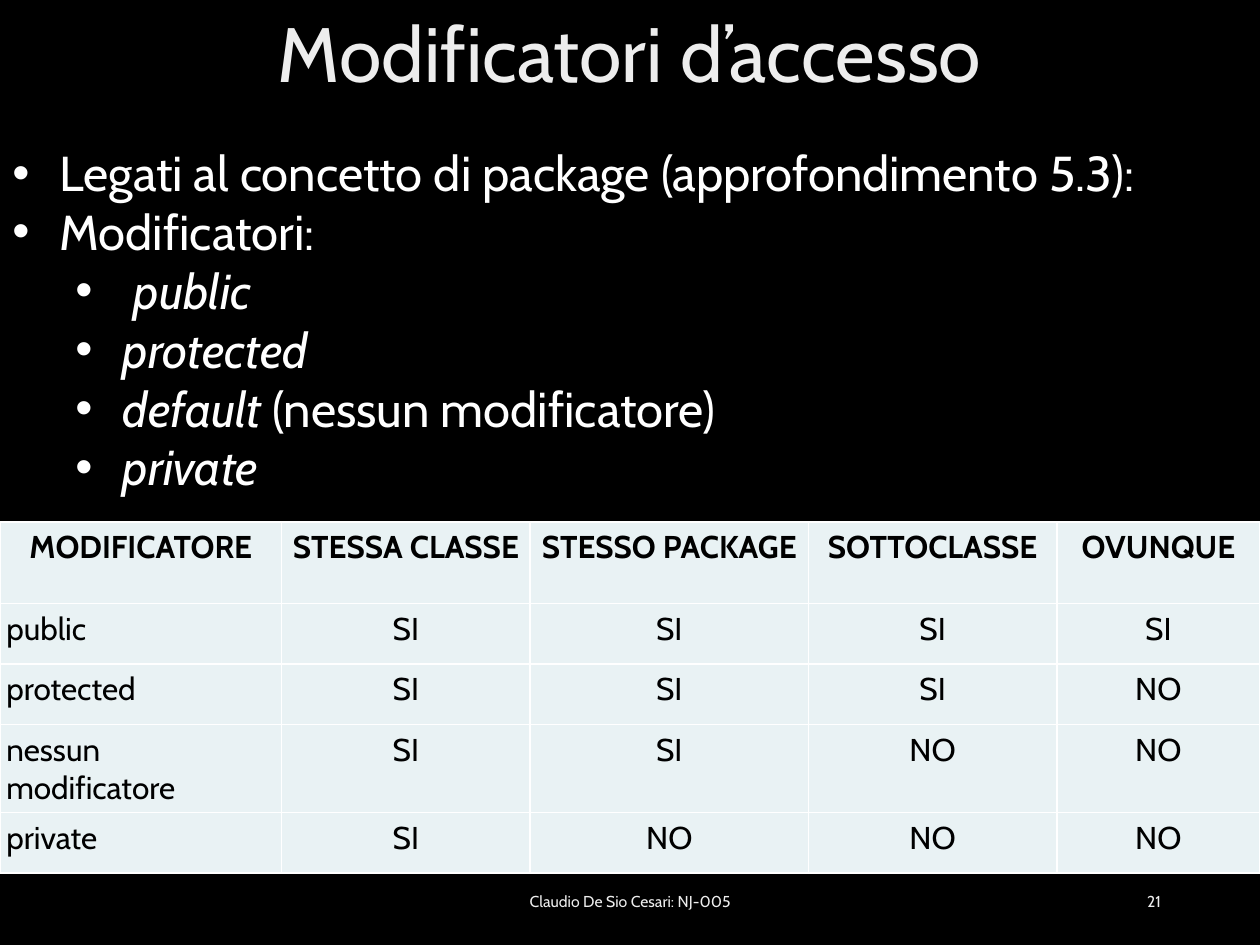
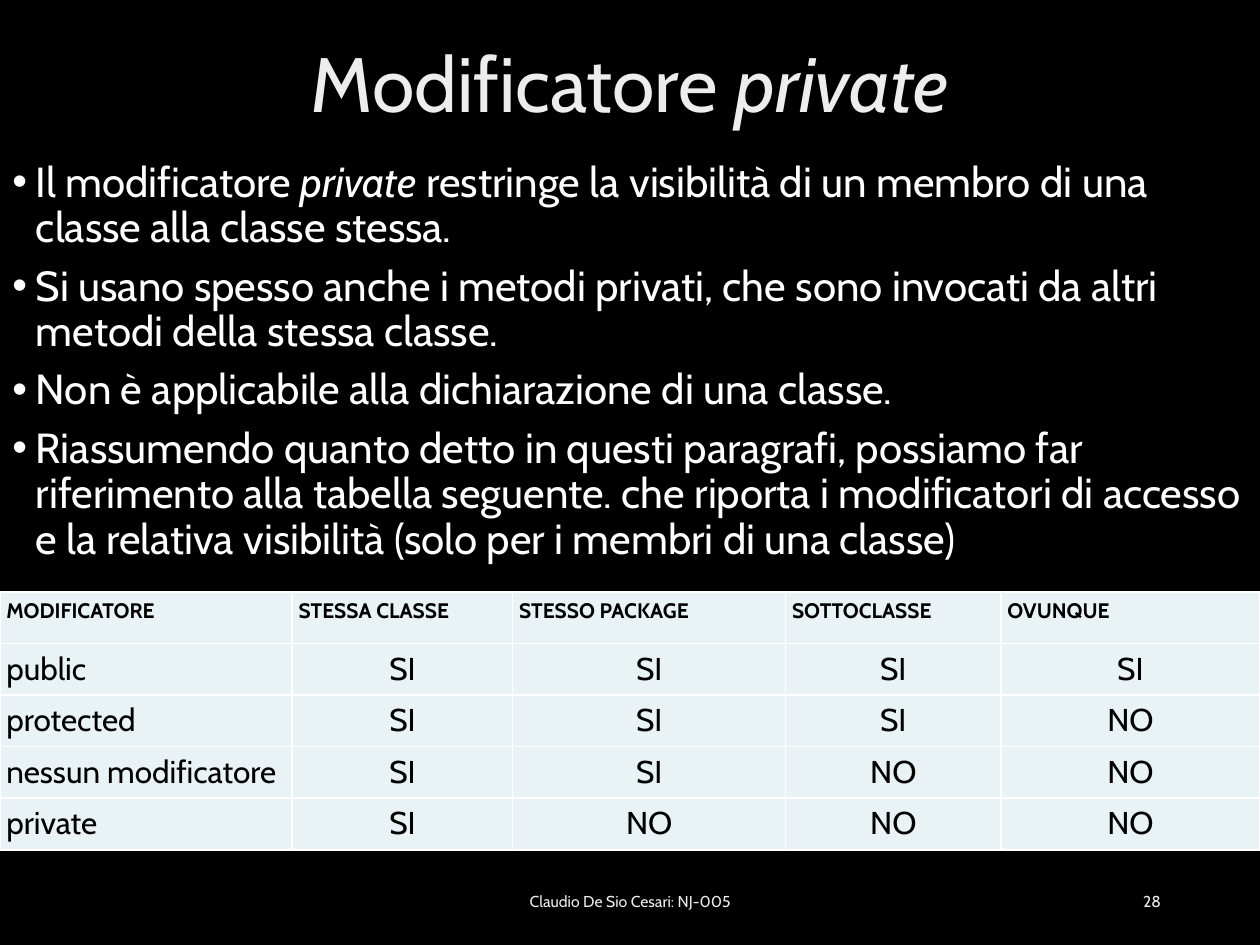
from dataclasses import dataclass

from lxml import etree
from pptx import Presentation
from pptx.dml.color import RGBColor
from pptx.enum import text as t
from pptx.oxml.ns import qn
from pptx.util import Pt


@dataclass(frozen=True)
class Theme:
    """Colours, font and type sizes shared by the slides."""
    back: str = "000000"
    head: str = "EDEDED"
    body: str = "FFFFFF"
    ink: str = "000000"
    cell: str = "E9F2F4"
    rule: str = "FFFFFF"
    font: str = "Cabin"
    title: int = 44
    grid: int = 18
    foot: int = 9


THEME = Theme()
LEFT, MID, RIGHT = t.PP_ALIGN.LEFT, t.PP_ALIGN.CENTER, t.PP_ALIGN.RIGHT
HEADS = ["MODIFICATORE", "STESSA CLASSE", "STESSO PACKAGE", "SOTTOCLASSE", "OVUNQUE"]
REACH = {"public": 4, "protected": 3, "nessun modificatore": 2, "private": 1}


def write(para, words, size, color, align=LEFT, bold=False):
    """Fill a paragraph, setting words between asterisks in italics."""
    para.alignment = align
    font = para.font
    font.name, font.size, font.bold = THEME.font, Pt(size), bold
    font.color.rgb = RGBColor.from_string(color)
    for i, part in enumerate(words.split("*")):
        if part:
            run = para.add_run()
            run.text = part
            if i % 2:
                run.font.italic = True


def bullet(para, left, hang):
    """Give a paragraph a round bullet and a hanging indent."""
    props = para._p.get_or_add_pPr()
    props.set("marL", str(Pt(left)))
    props.set("indent", str(-Pt(hang)))
    etree.SubElement(props, qn("a:buFont")).set("typeface", "Arial")
    etree.SubElement(props, qn("a:buChar")).set("char", "•")


def add_box(slide, box, anchor=t.MSO_ANCHOR.TOP):
    """Add a wrapping text box and return its frame."""
    frame = slide.shapes.add_textbox(*map(Pt, box)).text_frame
    frame.word_wrap = True
    frame.vertical_anchor = anchor
    return frame


def add_title(slide, box, words):
    """Place and format the title placeholder."""
    shape = slide.shapes.title
    shape.left, shape.top, shape.width, shape.height = map(Pt, box)
    frame = shape.text_frame
    frame.auto_size = t.MSO_AUTO_SIZE.NONE
    frame.vertical_anchor = t.MSO_ANCHOR.MIDDLE
    para = frame.paragraphs[0]
    para.line_spacing = 0.9
    write(para, words, THEME.title, THEME.head, MID)


def add_list(slide, box, items, size, hang, line=1.0, gap=0):
    """Add a bulleted list of (level, words) items."""
    frame = add_box(slide, box)
    for i, (level, words) in enumerate(items):
        para = frame.add_paragraph() if i else frame.paragraphs[0]
        para.level = level
        bullet(para, hang + 36 * level, hang)
        para.line_spacing, para.space_before = line, Pt(gap)
        write(para, words, size, THEME.body)


def edge(cell):
    """Draw a thin line on every side of a cell."""
    props = cell._tc.get_or_add_tcPr()
    for i, side in enumerate(("lnL", "lnR", "lnT", "lnB")):
        line = etree.Element(qn(f"a:{side}"), w=str(Pt(1)))
        fill = etree.SubElement(line, qn("a:solidFill"))
        etree.SubElement(fill, qn("a:srgbClr")).set("val", THEME.rule)
        props.insert(i, line)


def add_grid(slide, top, cols, rows, size, align):
    """Add the visibility table; size and align style its header."""
    shape = slide.shapes.add_table(len(rows), len(cols), 0, Pt(top),
                                   Pt(sum(cols)), Pt(sum(rows)))
    table = shape.table
    table.first_row = table.horz_banding = False
    for col, width in zip(table.columns, cols):
        col.width = Pt(width)
    for row, height in zip(table.rows, rows):
        row.height = Pt(height)
    data = [HEADS] + [[name] + ["SI" if i < reach else "NO" for i in range(4)]
                      for name, reach in REACH.items()]
    for r, line in enumerate(data):
        for c, words in enumerate(line):
            cell = table.cell(r, c)
            cell.margin_left = cell.margin_right = Pt(3.6)
            cell.margin_top = cell.margin_bottom = Pt(3.6)
            cell.fill.solid()
            cell.fill.fore_color.rgb = RGBColor.from_string(THEME.cell)
            edge(cell)
            para = cell.text_frame.paragraphs[0]
            if r == 0:
                write(para, words, size, THEME.ink, align, True)
            else:
                write(para, words, THEME.grid, THEME.ink, MID if c else LEFT)


def add_foot(slide, number):
    """Add the author line and the page number."""
    for left, width, words, align in ((238.5, 243, "Claudio De Sio Cesari: NJ-005", MID),
                                      (508.5, 162, str(number), RIGHT)):
        frame = add_box(slide, (left, 500.5, width, 28.75), t.MSO_ANCHOR.MIDDLE)
        write(frame.paragraphs[0], words, THEME.foot, THEME.head, align)


def access(slide):
    """Build the overview of access modifiers."""
    add_title(slide, (0, 0, 720, 65.5), "Modificatori d’accesso")
    add_foot(slide, 21)
    add_list(slide, (0, 78, 720, 211), [
        (0, "Legati al concetto di package (approfondimento 5.3):"),
        (0, "Modificatori:"),
        (1, " *public*"),
        (1, "*protected*"),
        (1, "*default* (nessun modificatore)"),
        (1, "*private*"),
    ], 28, 27)
    add_grid(slide, 298.4, (161, 142, 159, 142, 116),
             (46.5, 34.5, 34.5, 46.5, 34.5), THEME.grid, MID)


def private(slide):
    """Build the slide on the private modifier."""
    add_title(slide, (49.5, 10.75, 621, 78), "Modificatore *private*")
    add_list(slide, (0, 88.5, 720, 441), [
        (0, "Il modificatore *private* restringe la visibilità di un membro "
            "di una classe alla classe stessa."),
        (0, "Si usano spesso anche i metodi privati, che sono invocati da "
            "altri metodi della stessa classe."),
        (0, "Non è applicabile alla dichiarazione di una classe."),
        (0, "Riassumendo quanto detto in questi paragrafi, possiamo far "
            "riferimento alla tabella seguente. che riporta i modificatori di "
            "accesso e la relativa visibilità (solo per i membri di una classe)"),
    ], 24, 13.5, 0.9, 7.5)
    add_foot(slide, 28)
    add_grid(slide, 338.2, (167, 126, 156, 123, 148), (29.5,) * 5, 12, LEFT)


def main():
    """Build and save the deck."""
    deck = Presentation()
    deck.slide_width, deck.slide_height = Pt(720), Pt(540)
    fill = deck.slide_master.background.fill
    fill.solid()
    fill.fore_color.rgb = RGBColor.from_string(THEME.back)
    for build in (access, private):
        build(deck.slides.add_slide(deck.slide_layouts[5]))
    deck.save("out.pptx")


if __name__ == "__main__":
    main()
